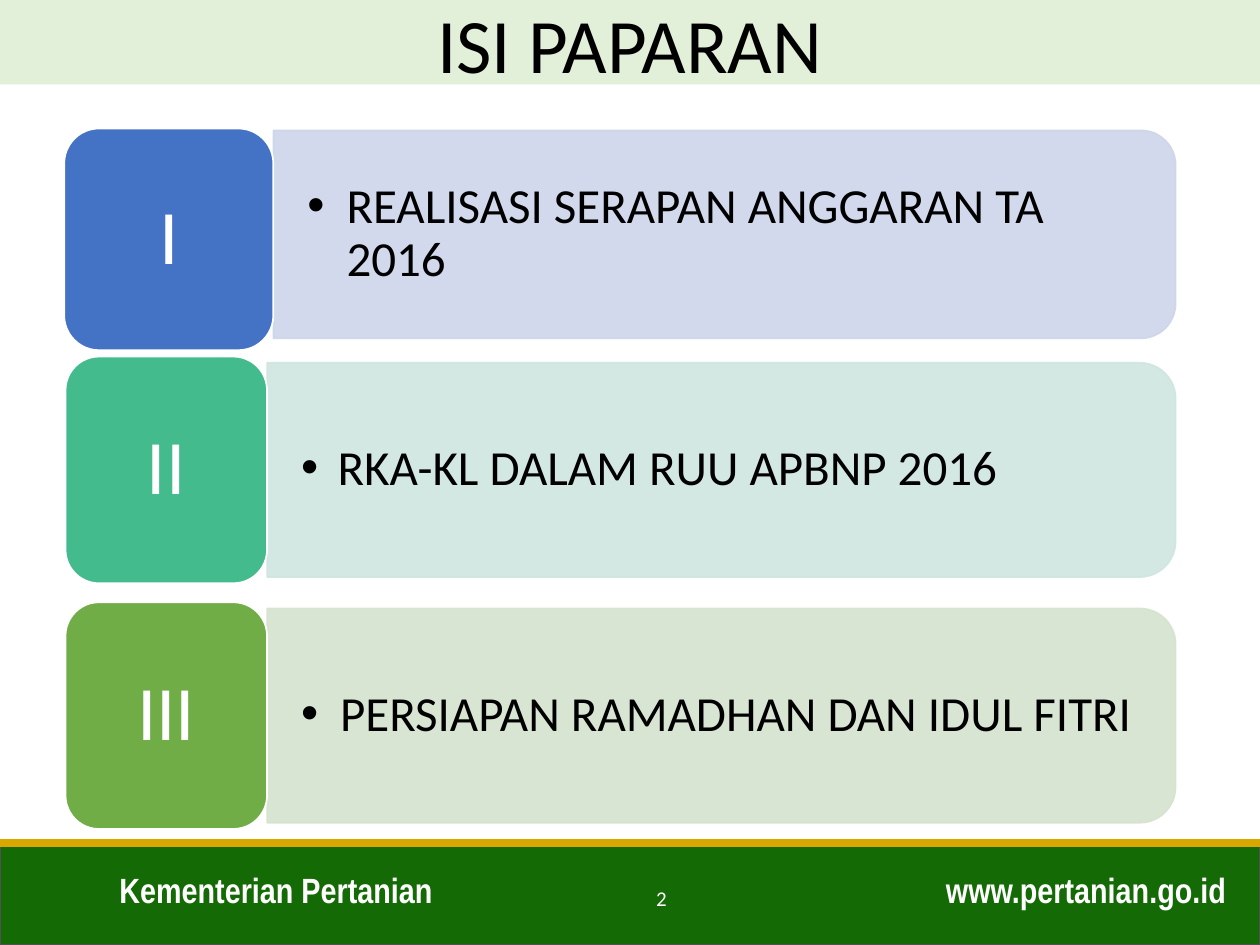
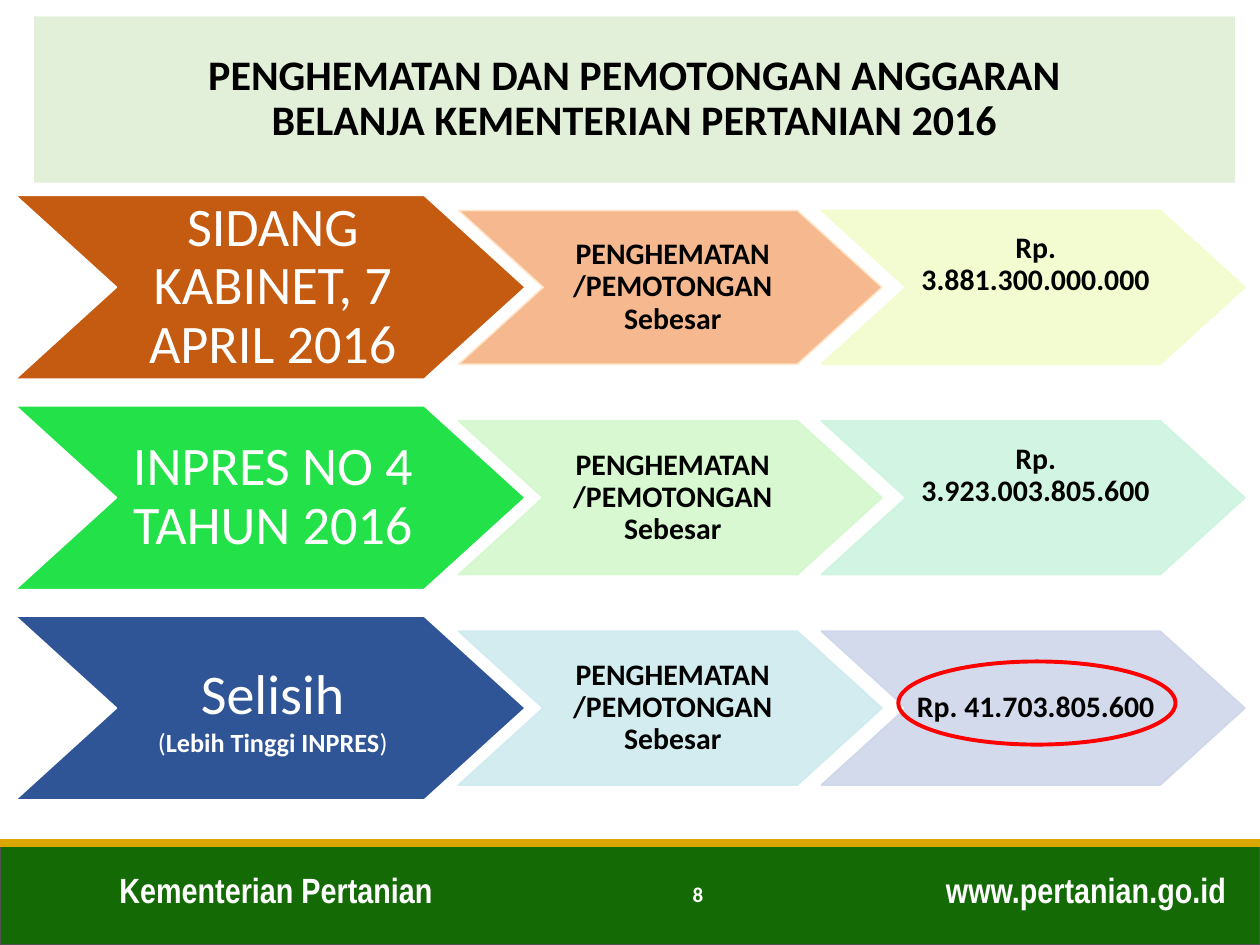
from lxml import etree
from pptx import Presentation
from pptx.dml.color import RGBColor
from pptx.enum.shapes import MSO_CONNECTOR, MSO_SHAPE
from pptx.enum.text import MSO_ANCHOR, MSO_AUTO_SIZE, PP_ALIGN
from pptx.oxml.ns import qn
from pptx.util import Inches, Pt

LEFT, CENTER, RIGHT = PP_ALIGN.LEFT, PP_ALIGN.CENTER, PP_ALIGN.RIGHT
TOP, MIDDLE = MSO_ANCHOR.TOP, MSO_ANCHOR.MIDDLE
RECT, OVAL, CHEVRON = MSO_SHAPE.RECTANGLE, MSO_SHAPE.OVAL, MSO_SHAPE.CHEVRON
TILE, BAR = MSO_SHAPE.ROUNDED_RECTANGLE, MSO_SHAPE.ROUND_2_SAME_RECTANGLE

WHITE = RGBColor(0xFF, 0xFF, 0xFF)
BLACK = RGBColor(0x00, 0x00, 0x00)
GREEN = RGBColor(0x14, 0x6B, 0x05)
GREY = RGBColor(0x52, 0x52, 0x52)
GOLD = RGBColor(0xDA, 0xA6, 0x00)
PALE = RGBColor(0xE2, 0xF0, 0xD9)
RED = RGBColor(0xFF, 0x00, 0x00)
BLUE = RGBColor(0x44, 0x72, 0xC4)
TEAL = RGBColor(0x43, 0xBB, 0x8D)
LEAF = RGBColor(0x70, 0xAD, 0x47)
BLUE_BAR = RGBColor(0xCF, 0xD5, 0xEA)
TEAL_BAR = RGBColor(0xCF, 0xE6, 0xE0)
LEAF_BAR = RGBColor(0xD5, 0xE3, 0xCF)
RUST = RGBColor(0xC5, 0x5A, 0x11)
LIME = RGBColor(0x23, 0xE1, 0x48)
NAVY = RGBColor(0x2F, 0x55, 0x97)
PEACH = RGBColor(0xF4, 0xB1, 0x83)
CREAM = RGBColor(0xFF, 0xE8, 0xCC)
LEMON = RGBColor(0xF2, 0xFC, 0xCC)
MINT = RGBColor(0xD3, 0xF8, 0xCC)
AQUA = RGBColor(0xCD, 0xF4, 0xDF)
SKY = RGBColor(0xCE, 0xEB, 0xEF)
LILAC = RGBColor(0xCF, 0xD6, 0xEA)


def write(shape, text, size=12, color=BLACK, bold=False, font="Calibri",
          align=CENTER, anchor=MIDDLE, inset=(0.1, 0.05, 0.1, 0.05),
          spacing=1.0, bullet=0):
    """Fill a shape with text: a string, or paragraphs of (text, size, bold) runs.

    A bullet is given as its hanging indent in inches.
    """
    frame = shape.text_frame
    frame.word_wrap = True
    frame.auto_size = MSO_AUTO_SIZE.NONE
    frame.vertical_anchor = anchor
    (frame.margin_left, frame.margin_top,
     frame.margin_right, frame.margin_bottom) = map(Inches, inset)
    if isinstance(text, str):
        text = [[(line, size, bold)] for line in text.split("\n")]
    for n, runs in enumerate(text):
        para = frame.add_paragraph() if n else frame.paragraphs[0]
        para.alignment = align
        para.line_spacing = spacing
        if bullet:
            props = para._p.get_or_add_pPr()
            props.set("marL", str(Inches(bullet)))
            props.set("indent", str(-Inches(bullet)))
            etree.SubElement(props, qn("a:buFont")).set("typeface", "Arial")
            etree.SubElement(props, qn("a:buChar")).set("char", "•")
        for part, points, heavy in runs:
            run = para.add_run()
            run.text = part
            run.font.name = font
            run.font.size = Pt(points)
            run.font.bold = heavy
            run.font.color.rgb = color


def draw(slide, kind, box, fill=None, line=WHITE, width=1, alpha=100):
    """Add a preset shape; box is left, top, width, height in inches."""
    shape = slide.shapes.add_shape(kind, *map(Inches, box))
    shape.shadow.inherit = False
    if fill is None:
        shape.fill.background()
    else:
        shape.fill.solid()
        shape.fill.fore_color.rgb = fill
    shape.line.color.rgb = line
    shape.line.width = Pt(width)
    if alpha < 100:
        for tint in shape.element.spPr.iter(qn("a:srgbClr")):
            etree.SubElement(tint, qn("a:alpha")).set("val", str(alpha * 1000))
    return shape


deck = Presentation()
deck.slide_width, deck.slide_height = Inches(10), Inches(7.5)
layout = deck.slide_layouts[5]
agenda = deck.slides.add_slide(layout)
cuts = deck.slides.add_slide(layout)

# Footer, moved to the layout that both slides use
FOOT = 6.69
band = draw(agenda, RECT, (0, FOOT, 10, 7.5 - FOOT), GREEN, GREY)
stripe = agenda.shapes.add_connector(
    MSO_CONNECTOR.STRAIGHT, 0, Inches(FOOT), Inches(10), Inches(FOOT))
stripe.line.color.rgb = GOLD
stripe.line.width = Pt(4.5)
etree.SubElement(stripe.element.spPr, qn("a:effectLst"))
footer = [band, stripe]
for text, left, width, align in (("Kementerian Pertanian", 0.85, 3.66, LEFT),
                                 ("www.pertanian.go.id", 7.05, 2.78, RIGHT)):
    label = agenda.shapes.add_textbox(*map(Inches, (left, 6.84, width, 0.44)))
    write(label, text, size=20, color=WHITE, bold=True, font="Arial Narrow",
          align=align, anchor=TOP)
    footer.append(label)
for n, item in enumerate(footer, 20):
    item.element.xpath(".//p:cNvPr")[0].set("id", str(n))
    layout.shapes.element.append(item.element)

# Titles and page numbers
for slide, text, box, size, bold, spacing in (
        (agenda, "ISI PAPARAN", (0, 0, 10, 0.67), 44, False, 1.0),
        (cuts, "PENGHEMATAN DAN PEMOTONGAN ANGGARAN\n"
               "BELANJA KEMENTERIAN PERTANIAN 2016",
         (0.27, 0.13, 9.53, 1.32), 24, True, 0.9)):
    title = slide.shapes.title
    title.left, title.top, title.width, title.height = map(Inches, box)
    title.fill.solid()
    title.fill.fore_color.rgb = PALE
    write(title, text, size=size, bold=bold, spacing=spacing)

for slide, text, box, bold, align, anchor in (
        (agenda, "2", (5, 6.98, 0.5, 0.43), False, CENTER, TOP),
        (cuts, "8", (3.43, 6.9, 2.25, 0.4), True, RIGHT, MIDDLE)):
    page = slide.shapes.add_textbox(*map(Inches, box))
    write(page, text, color=WHITE, bold=bold, align=align, anchor=anchor)

# Agenda: a numbered tile and a bar turned on its side in each row
EDGE = 9.33
for mark, text, fill, tint, tile, mid, deep, hang in (
        ("I", "REALISASI SERAPAN ANGGARAN TA 2016", BLUE, BLUE_BAR,
         (0.51, 1.02, 1.66, 1.76), 1.86, 1.65, 0.31),
        ("II", "RKA-KL DALAM RUU APBNP 2016", TEAL, TEAL_BAR,
         (0.52, 2.83, 1.6, 1.8), 3.73, 1.7, 0.29),
        ("III", "PERSIAPAN RAMADHAN DAN IDUL FITRI", LEAF, LEAF_BAR,
         (0.52, 4.78, 1.6, 1.8), 5.68, 1.7, 0.31)):
    start = tile[0] + tile[2]
    long = EDGE - start
    bar = draw(agenda, BAR, ((start + EDGE - deep) / 2, mid - long / 2, deep, long),
               tint, tint, alpha=90)
    bar.rotation = 90
    topic = agenda.shapes.add_textbox(
        *map(Inches, (start, mid - deep / 2, long - 0.08, deep)))
    write(topic, text, size=28, align=LEFT, inset=(0.27, 0.14, 0.27, 0.14),
          spacing=0.9, bullet=hang)
    badge = draw(agenda, TILE, tile, fill)
    write(badge, mark, size=44, color=WHITE, spacing=0.9)

# Budget cuts: three rows of one large and two small chevrons
SAVING = "PENGHEMATAN /PEMOTONGAN Sebesar"
NOTE = [[("Selisih", 32, False)],
        [("(", 15, False), ("Lebih Tinggi INPRES", 15, True), (")", 15, False)]]
COLS = ((0.12, 4.05, 1.46), (3.64, 3.36, 1.22), (6.52, 3.36, 1.22))
rows = (
    (("SIDANG KABINET, 7 APRIL 2016", RUST, WHITE), (SAVING, PEACH, CREAM),
     ("Rp. 3.881.300.000.000", LEMON, LEMON)),
    (("INPRES NO 4 TAHUN 2016", LIME, WHITE), (SAVING, MINT, MINT),
     ("Rp. 3.923.003.805.600", AQUA, AQUA)),
    ((NOTE, NAVY, WHITE), (SAVING, SKY, SKY),
     ("Rp. 41.703.805.600", LILAC, LILAC)),
)
for r, row in enumerate(rows):
    mid = 2.28 + 1.67 * r
    for c, ((text, fill, line), (left, width, high)) in enumerate(zip(row, COLS)):
        head = c == 0
        arrow = draw(cuts, CHEVRON, (left, mid - high / 2, width, high),
                     fill, line, alpha=100 if head else 90)
        arrow.adjustments[0] = 0.55
        lift = 0.37 if c == 2 and r < 2 else 0.02
        write(arrow, text, size=31 if head else 17,
              color=WHITE if head else BLACK, bold=not head,
              inset=(0.04, 0.02, 0, lift), spacing=1.0 if text is NOTE else 0.9)
draw(cuts, OVAL, (7.13, 5.25, 2.2, 0.66), line=RED, width=2.25)

deck.save("out.pptx")
